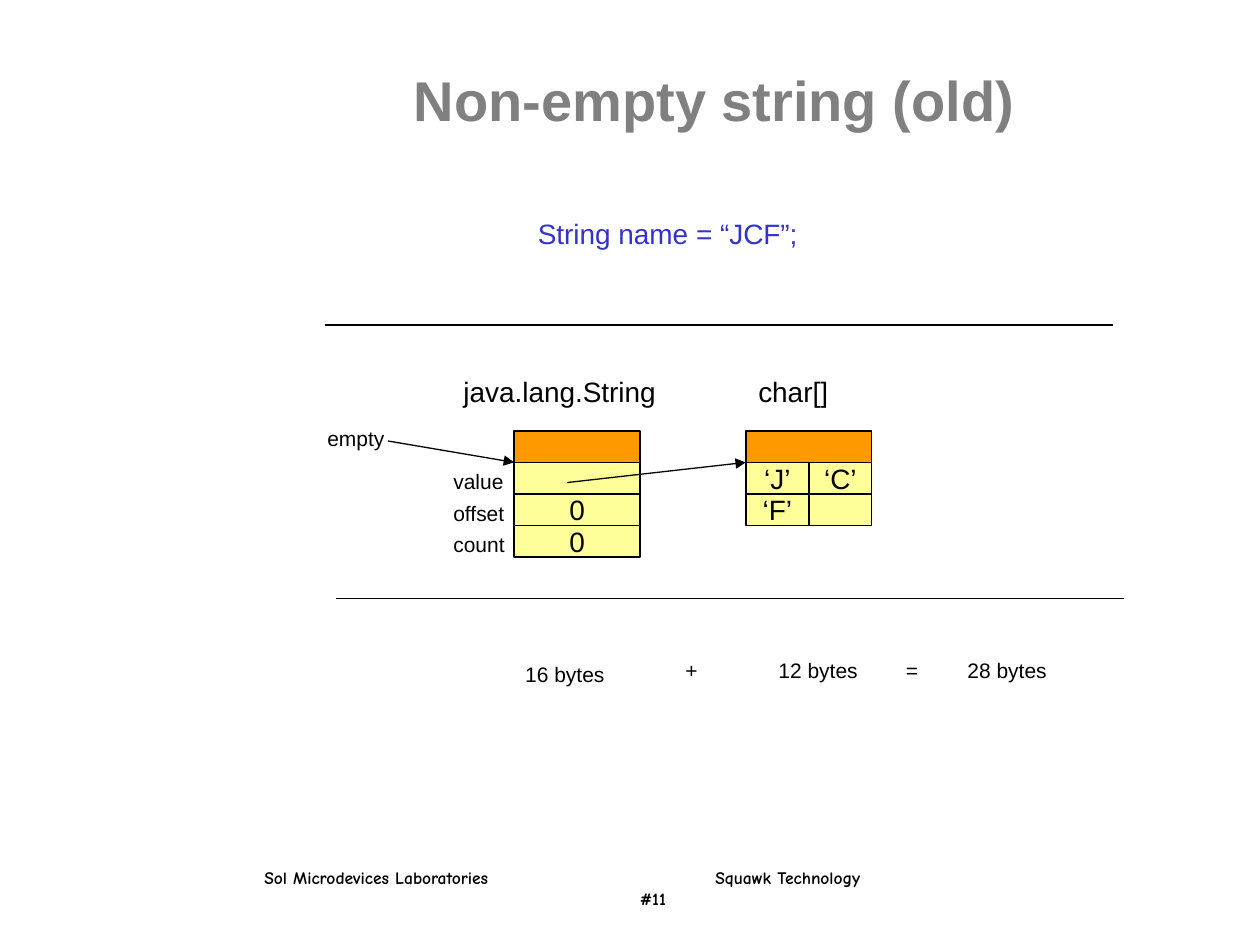
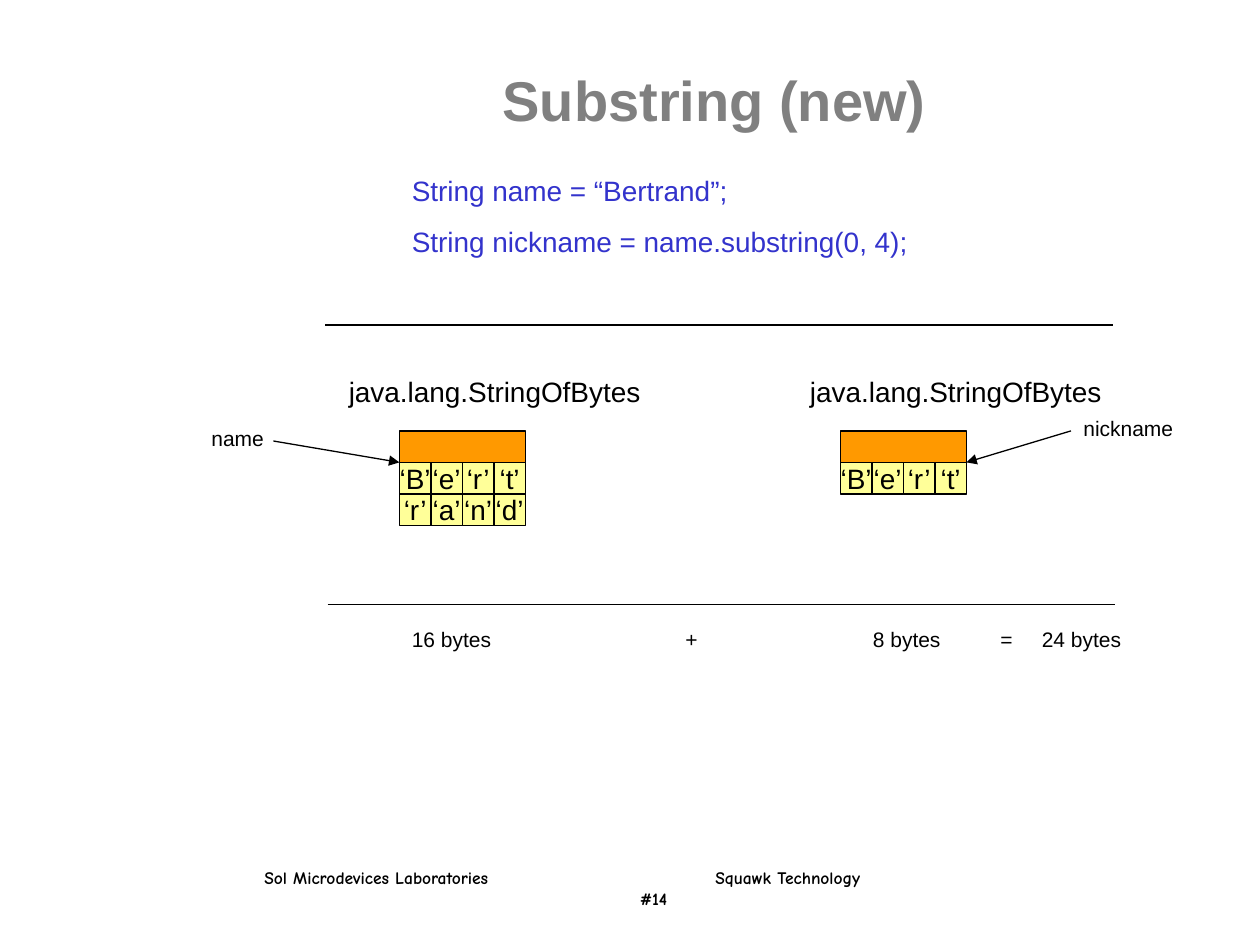
from pptx import Presentation
from pptx.dml.color import RGBColor
from pptx.enum.shapes import MSO_CONNECTOR as Connector, MSO_SHAPE as Shape
from pptx.enum.text import MSO_ANCHOR as Anchor, PP_ALIGN as Align
from pptx.oxml.ns import qn
from pptx.util import Inches, Pt
from lxml import etree

COLOURS = {"black": "000000", "title": "808080", "code": "3333CC",
           "header": "FF9900", "cell": "FFFF99"}
FONT, FOOTER_FONT = "Arial", "Comic Neue"
OBJECT_TOP, ROW_HEIGHT, OBJECT_WIDTH = 3.42, 0.25, 1
FOOTER_TABS = [3.58, 2.98]  # second label, slide number


def add_box(page, at, lines, size=12, colour="black", fill=None, font=FONT,
            bold=False, centred=False, wrap=True):
    """Add a text box, or an outlined rectangle when a fill is given."""
    lengths = [Inches(length) for length in at]
    if fill:
        box = page.shapes.add_shape(Shape.RECTANGLE, *lengths)
        box.shadow.inherit = False
        box.fill.solid()
        box.fill.fore_color.rgb = RGBColor.from_string(COLOURS[fill])
        box.line.color.rgb = RGBColor.from_string(COLOURS["black"])
        box.line.width = Pt(0.75)
    else:
        box = page.shapes.add_textbox(*lengths)
    frame = box.text_frame
    frame.word_wrap = wrap
    frame.vertical_anchor = Anchor.MIDDLE if centred else Anchor.TOP
    frame.text = "\n".join(lines)
    for para in frame.paragraphs:
        para.alignment = Align.CENTER if centred else Align.LEFT
        for span in para.runs:
            span.font.name = font
            span.font.size = Pt(size)
            span.font.bold = bold
            span.font.color.rgb = RGBColor.from_string(COLOURS[colour])
    return box


def add_line(page, start, end, arrow=False):
    ends = [Inches(length) for length in (*start, *end)]
    line = page.shapes.add_connector(Connector.STRAIGHT, *ends)
    line.line.color.rgb = RGBColor.from_string(COLOURS["black"])
    line.line.width = Pt(0.75)
    if arrow:
        etree.SubElement(line.line._get_or_add_ln(), qn("a:tailEnd"), type="triangle")
    etree.SubElement(line._element.spPr, qn("a:effectLst"))


# Content: objects are (left, rows of cells), labels are (left, top, width, text)
slides = [
    {
        "title": "Non-empty string (old)",
        "number": "#11",
        "code_at": (4.17, 1.67, 2.42, 0.37),
        "code": ["String name = “JCF”;"],
        "types": [(3.58, 1.83, "java.lang.String"), (5.92, 0.83, "char[]")],
        "objects": [(4.08, [[""], ["0"], ["0"]]),
                    (5.92, [["‘J’", "‘C’"], ["‘F’", ""]])],
        "labels": [(2.5, 3.33, 0.67, "empty"), (3.5, 3.67, 0.67, "value"),
                   (3.5, 3.92, 0.67, "offset"), (3.5, 4.17, 0.67, "count")],
        "arrows": [((3.08, 3.5), (4.08, 3.67)), ((4.5, 3.83), (5.92, 3.67))],
        "lower_rule": (2.67, 4.75),
        "sum": [(4.07, 5.2, 0.83, "16 bytes"), (5.34, 5.17, 0.29, "+"),
                (6.08, 5.17, 0.83, "12 bytes"), (7.09, 5.17, 0.29, "="),
                (7.58, 5.17, 0.83, "28 bytes")],
    },
    {
        "title": "Substring (new)",
        "number": "#14",
        "code_at": (3.17, 1.33, 4.5, 0.77),
        "code": ["String name = “Bertrand”;",
                 "String nickname = name.substring(0, 4);"],
        "types": [(2.67, 2.74, "java.lang.StringOfBytes"),
                  (6.33, 2.67, "java.lang.StringOfBytes")],
        "objects": [(3.17, [["‘B’", "‘e’", "‘r’", "‘t’"],
                            ["‘r’", "‘a’", "‘n’", "‘d’"]]),
                    (6.67, [["‘B’", "‘e’", "‘r’", "‘t’"]])],
        "labels": [(1.58, 3.33, 0.67, "name"), (8.5, 3.25, 1.08, "nickname")],
        "arrows": [((2.17, 3.5), (3.17, 3.67)), ((8.5, 3.42), (7.67, 3.67))],
        "lower_rule": (2.6, 4.8),
        "sum": [(3.17, 4.92, 0.83, "16 bytes"), (5.34, 4.92, 0.29, "+"),
                (6.83, 4.92, 0.74, "8 bytes"), (7.84, 4.92, 0.29, "="),
                (8.17, 4.92, 0.83, "24 bytes")],
    },
]

deck = Presentation()
deck.slide_width, deck.slide_height = Inches(10), Inches(7.5)

for content in slides:
    page = deck.slides.add_slide(deck.slide_layouts[6])

    # Footer
    footer = add_box(page, (2, 6.83, 6.29, 0.44),
                     ["Sol Microdevices Laboratories\tSquawk Technology",
                      "\t" + content["number"]],
                     size=10, font=FOOTER_FONT, bold=True)
    for para, position in zip(footer.text_frame.paragraphs, FOOTER_TABS):
        tabs = etree.Element(qn("a:tabLst"))
        etree.SubElement(tabs, qn("a:tab"), pos=str(Inches(position)), algn="l")
        para._p.get_or_add_pPr().append(tabs)

    # Title and code
    add_box(page, (1.92, 0.5, 7.5, 0.58), [content["title"]], size=32,
            colour="title", bold=True, centred=True)
    code = add_box(page, content["code_at"], content["code"], size=16, colour="code")
    for para in code.text_frame.paragraphs[1:]:
        para.space_before = Pt(10)

    # Rules above and below the diagram
    for left, top in [(2.58, 2.58), content["lower_rule"]]:
        add_line(page, (left, top), (left + 6.25, top))

    # Objects: a header and rows of equal cells
    for left, width, name in content["types"]:
        add_box(page, (left, 2.92, width, 0.37), [name], size=16)
    for left, rows in content["objects"]:
        add_box(page, (left, OBJECT_TOP, OBJECT_WIDTH, ROW_HEIGHT), [], fill="header")
        for row, cells in enumerate(rows, start=1):
            cell_width = OBJECT_WIDTH / len(cells)
            for column, value in enumerate(cells):
                add_box(page, (left + column * cell_width, OBJECT_TOP + row * ROW_HEIGHT,
                               cell_width, ROW_HEIGHT),
                        [value], size=16, fill="cell", centred=True, wrap=False)

    # Labels, arrows and the sum of sizes
    for left, top, width, label in content["labels"]:
        add_box(page, (left, top, width, 0.3), [label])
    for start, end in content["arrows"]:
        add_line(page, start, end, arrow=True)
    for left, top, width, term in content["sum"]:
        add_box(page, (left, top, width, 0.3), [term], wrap=False)

deck.save("out.pptx")
